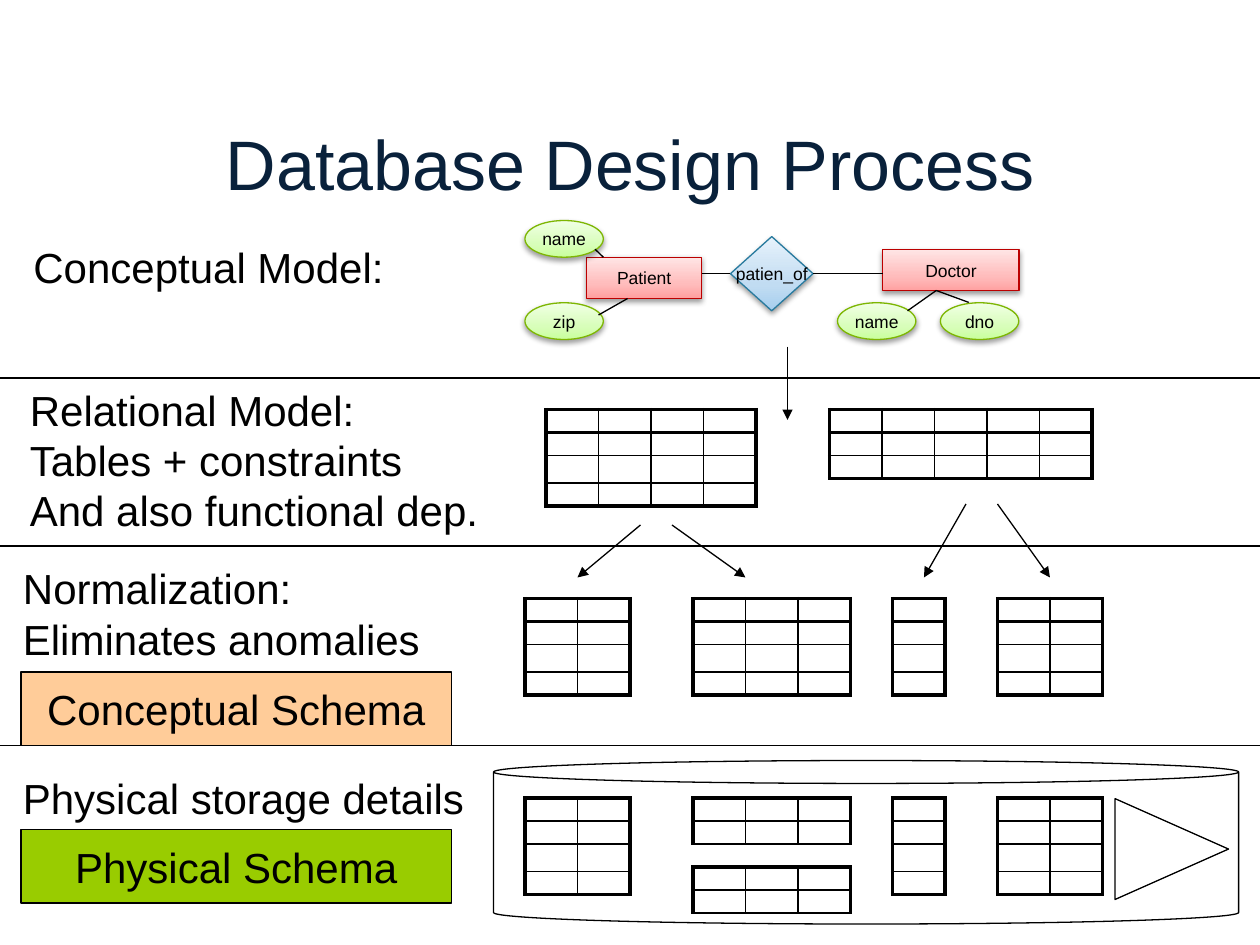
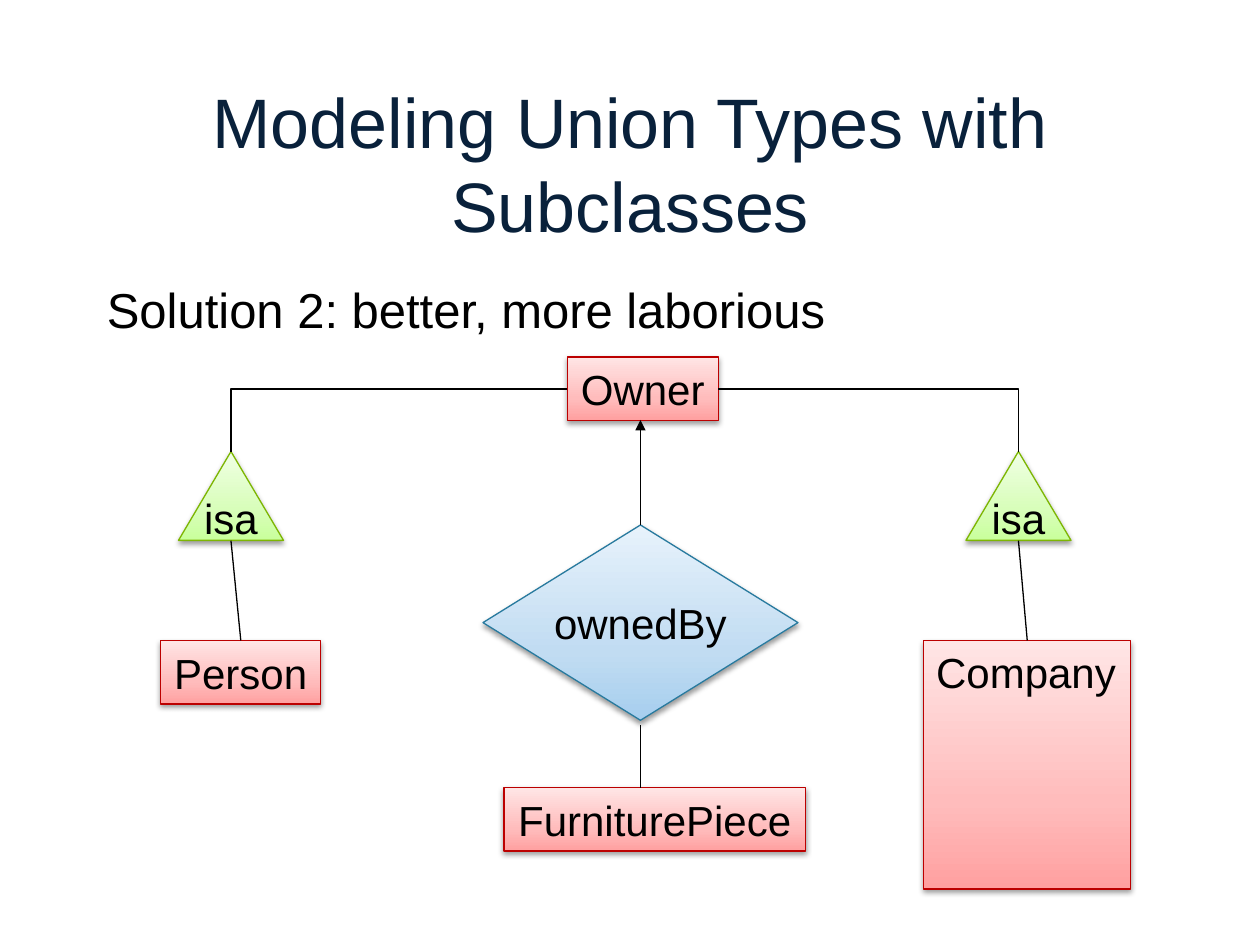
from dataclasses import dataclass

from lxml.etree import SubElement
from pptx import Presentation
from pptx.dml.color import RGBColor
from pptx.enum.shapes import MSO_CONNECTOR, MSO_SHAPE
from pptx.enum.text import MSO_ANCHOR, PP_ALIGN
from pptx.oxml.ns import qn
from pptx.shapes.autoshape import Shape
from pptx.shapes.connector import Connector
from pptx.slide import Slide
from pptx.text.text import TextFrame
from pptx.util import Pt

FONT = "Arial"
COLORS = {
    "title": "09213B",
    "black": "000000",
    "conceptual": "FFCC99",
    "physical": "99CC00",
    "red_line": "BC0000",
    "green_line": "7DB602",
    "blue_line": "287A9E",
}
# Gradient colours from bottom to top
GRADIENTS = {
    "red": ("FFA0A0", "FFBCBC", "FFE5E5"),
    "green": ("C9FF9C", "D8FEBA", "F0FFE4"),
    "blue": ("A6CEEE", "C1DCF2", "E7F2FB"),
}
GRADIENT_STOPS = (0, 35000, 100000)
COLUMN_WIDTH = 30
ROW_HEIGHTS = (13.2, 13.2, 15.6, 13.2)
THIN, MEDIUM, THICK = 1, 1.5, 2.25


@dataclass
class Node:
    """A part of an entity-relationship diagram."""
    text: str
    kind: MSO_SHAPE
    hue: str
    left: float
    top: float
    width: float
    height: float
    size: float


@dataclass
class Label:
    lines: str
    left: float
    top: float
    width: float
    height: float


@dataclass
class Grid:
    """An empty table."""
    left: float
    top: float
    columns: int
    rows: int = 4


@dataclass
class Line:
    x1: float
    y1: float
    x2: float
    y2: float
    arrow: bool = False


def rgb(name: str) -> RGBColor:
    return RGBColor.from_string(COLORS[name])


def write(frame: TextFrame, text: str, size: float, color: str = "black",
          align: PP_ALIGN = PP_ALIGN.LEFT, anchor: MSO_ANCHOR = MSO_ANCHOR.TOP,
          wrap: bool = False, space: float = 0) -> None:
    frame.text = text
    frame.word_wrap = wrap
    frame.vertical_anchor = anchor
    for paragraph in frame.paragraphs:
        paragraph.alignment = align
        paragraph.space_before = Pt(space)
        paragraph.font.name = FONT
        paragraph.font.size = Pt(size)
        paragraph.font.color.rgb = rgb(color)


def add_text(slide: Slide, label: Label, size: float = 24, **style) -> None:
    box = slide.shapes.add_textbox(
        Pt(label.left), Pt(label.top), Pt(label.width), Pt(label.height))
    write(box.text_frame, label.lines, size, **style)


def add_title(slide: Slide, text: str) -> None:
    add_text(slide, Label(text, 54, 48, 612, 90), 40, color="title",
             align=PP_ALIGN.CENTER, anchor=MSO_ANCHOR.MIDDLE, wrap=True)


def add_outline(slide: Slide, kind: MSO_SHAPE, left: float, top: float,
                width: float, height: float, line: str = "black") -> Shape:
    shape = slide.shapes.add_shape(kind, Pt(left), Pt(top), Pt(width), Pt(height))
    shape.shadow.inherit = False
    shape.fill.background()
    shape.line.color.rgb = rgb(line)
    shape.line.width = Pt(0.75)
    return shape


def add_gradient(shape: Shape, hue: str) -> None:
    shape.fill.gradient()
    shape.fill.gradient_angle = 90
    stops = shape._element.spPr.find(".//" + qn("a:gsLst"))
    stops.clear()
    for position, color in zip(GRADIENT_STOPS, GRADIENTS[hue]):
        stop = SubElement(stops, qn("a:gs"), pos=str(position))
        SubElement(stop, qn("a:srgbClr"), val=color)


def add_shadow(shape: Shape) -> None:
    effects = shape._element.spPr.find(qn("a:effectLst"))
    shadow = SubElement(effects, qn("a:outerShdw"), blurRad="40000",
                        dist="20000", dir="5400000", rotWithShape="0")
    color = SubElement(shadow, qn("a:srgbClr"), val=COLORS["black"])
    SubElement(color, qn("a:alpha"), val="38000")


def add_node(slide: Slide, node: Node) -> Shape:
    shape = add_outline(slide, node.kind, node.left, node.top, node.width,
                        node.height, node.hue + "_line")
    add_gradient(shape, node.hue)
    add_shadow(shape)
    write(shape.text_frame, node.text, node.size, align=PP_ALIGN.CENTER,
          anchor=MSO_ANCHOR.MIDDLE)
    return shape


def style_connector(connector: Connector) -> None:
    connector.line.color.rgb = rgb("black")
    connector.line.width = Pt(0.75)
    SubElement(connector._element.spPr, qn("a:effectLst"))


def add_line(slide: Slide, line: Line) -> None:
    connector = slide.shapes.add_connector(
        MSO_CONNECTOR.STRAIGHT, Pt(line.x1), Pt(line.y1), Pt(line.x2), Pt(line.y2))
    style_connector(connector)
    if line.arrow:
        SubElement(connector.line._get_or_add_ln(), qn("a:tailEnd"), type="triangle")


def add_elbow(slide: Slide, start: Shape, start_site: int, end: Shape) -> None:
    """Join a side of one shape to the top of another with one bend."""
    connector = slide.shapes.add_connector(MSO_CONNECTOR.ELBOW, 0, 0, 0, 0)
    connector.begin_connect(start, start_site)
    connector.end_connect(end, 0)
    connector._element.spPr.find(qn("a:prstGeom")).set("prst", "bentConnector2")
    style_connector(connector)


def add_grid(slide: Slide, grid: Grid) -> None:
    heights = ROW_HEIGHTS[:grid.rows] if grid.rows != 3 else ROW_HEIGHTS[:2] * 2
    heights = heights[:grid.rows]
    table = slide.shapes.add_table(
        grid.rows, grid.columns, Pt(grid.left), Pt(grid.top),
        Pt(COLUMN_WIDTH * grid.columns), Pt(sum(heights))).table
    for column in table.columns:
        column.width = Pt(COLUMN_WIDTH)
    for r, height in enumerate(heights):
        table.rows[r].height = Pt(height)
        for c in range(grid.columns):
            cell = table.cell(r, c)
            cell.margin_left = cell.margin_right = 0
            cell.margin_top = cell.margin_bottom = 0
            paragraph = cell.text_frame.paragraphs[0]
            SubElement(paragraph._p, qn("a:endParaRPr"), sz="600")
            # A split table keeps a thin lower edge
            closed = r == grid.rows - 1 and grid.rows > 2
            borders = {
                "a:lnL": THICK if c == 0 else THIN,
                "a:lnR": THICK if c == grid.columns - 1 else THIN,
                "a:lnT": {0: THICK, 1: MEDIUM}.get(r, THIN),
                "a:lnB": MEDIUM if r == 0 else THICK if closed else THIN,
            }
            properties = cell._tc.get_or_add_tcPr()
            for tag, width in borders.items():
                border = SubElement(properties, qn(tag), w=str(Pt(width)))
                fill = SubElement(border, qn("a:solidFill"))
                SubElement(fill, qn("a:srgbClr"), val=COLORS["black"])
            cell.fill.background()


def add_schema(slide: Slide, text: str, top: float, color: str) -> None:
    shape = add_outline(slide, MSO_SHAPE.RECTANGLE, 12, top, 246, 42)
    shape.fill.solid()
    shape.fill.fore_color.rgb = rgb(color)
    write(shape.text_frame, text, 24, align=PP_ALIGN.CENTER, anchor=MSO_ANCHOR.MIDDLE)


def entity(text: str, left: float, top: float, width: float, height: float,
           size: float = 24) -> Node:
    return Node(text, MSO_SHAPE.RECTANGLE, "red", left, top, width, height, size)


def attribute(text: str, left: float, top: float) -> Node:
    return Node(text, MSO_SHAPE.OVAL, "green", left, top, 44.8, 21, 10)


def subclass(left: float) -> Node:
    return Node("isa", MSO_SHAPE.ISOSCELES_TRIANGLE, "green", left, 258, 60, 50.8, 24)


def build_design_process(slide: Slide) -> None:
    # Storage cylinder behind the physical tables
    cylinder = add_outline(slide, MSO_SHAPE.CAN, 282, 434.6, 425.8, 93.4)
    cylinder.adjustments[0] = 0.14
    add_title(slide, "Database Design Process")

    # Conceptual model diagram
    for node in (
        entity("Doctor", 504.4, 142.6, 78, 23.6, 10),
        Node("patien_of", MSO_SHAPE.DIAMOND, "blue", 417.4, 135.2, 47.2, 42.4, 10),
        entity("Patient", 335.2, 147, 65.8, 23.6, 10),
        attribute("name", 300, 126),
        attribute("zip", 300, 173),
        attribute("name", 478.6, 173),
        attribute("dno", 537.4, 173),
    ):
        add_node(slide, node)
    for line in (
        Line(344.8, 147, 340, 142.4),
        Line(358.6, 170.6, 342, 180),
        Line(401, 156.4, 417.4, 156.4),
        Line(464.6, 156.4, 504.4, 156.4),
        Line(535, 166, 518.6, 177.6),
        Line(535, 166, 553.6, 172.8),
    ):
        add_line(slide, line)

    # Stage names
    for label in (
        Label("Conceptual Model:", 12, 134.6, 214.6, 36),
        Label("Relational Model:\nTables + constraints\nAnd also functional dep.",
              10, 216, 274.4, 94.4),
        Label("Normalization:\nEliminates anomalies", 6, 318, 243.4, 65.4),
        Label("Physical storage details", 6, 438, 269.4, 36),
    ):
        add_text(slide, label)

    # Relational, normalized and stored tables
    grids = [Grid(312, 234, 4), Grid(474, 234, 5, 3), Grid(396, 342, 3),
             Grid(396, 456, 3, 2), Grid(396, 495.4, 3, 2)]
    grids += [Grid(left, top, columns) for top in (342, 456)
              for left, columns in ((300, 2), (510, 1), (570, 2))]
    for grid in grids:
        add_grid(slide, grid)

    # Arrows between stages
    for line in (
        Line(450, 198, 450, 240, True),
        Line(366, 300, 330, 330, True),
        Line(384, 300, 426, 330, True),
        Line(552, 288, 528, 330, True),
        Line(570, 288, 600, 330, True),
    ):
        add_line(slide, line)

    # Schema boxes, stage dividers and index triangle
    add_schema(slide, "Conceptual Schema", 384, "conceptual")
    add_schema(slide, "Physical Schema", 474, "physical")
    for y in (216, 312, 426):
        add_line(slide, Line(0, y, 720, y))
    triangle = add_outline(slide, MSO_SHAPE.ISOSCELES_TRIANGLE, 640.8, 452.8, 57.6, 64.8)
    triangle.rotation = 90


def build_union_types(slide: Slide) -> None:
    add_title(slide, "Modeling Union Types with Subclasses")
    add_text(slide, Label("Solution 2: better, more laborious", 54, 156, 612, 324),
             28, wrap=True, space=5.6)

    # Entities, relationship and subclass triangles
    left_isa, right_isa = (add_node(slide, subclass(left)) for left in (102, 552))
    add_node(slide, entity("FurniturePiece", 288, 450, 172.2, 36.4))
    add_node(slide, entity("Person", 91.8, 366, 91.4, 36.4))
    company = add_node(slide, entity("Company", 527.8, 366, 118.4, 142))
    write(company.text_frame, "Company", 24, space=4.8)
    add_node(slide, Node("ownedBy", MSO_SHAPE.DIAMOND, "blue", 276, 300, 180, 111.6, 24))
    owner = add_node(slide, entity("Owner", 324.2, 204, 86.2, 36.4))

    # Links
    for line in (
        Line(366, 300, 366, 240, True),
        Line(366, 450, 366, 414),
        Line(137.6, 366, 132, 309),
        Line(587, 366, 582, 309),
    ):
        add_line(slide, line)
    add_elbow(slide, owner, 1, left_isa)
    add_elbow(slide, owner, 3, right_isa)


presentation = Presentation()
presentation.slide_width, presentation.slide_height = Pt(720), Pt(540)
for build in (build_design_process, build_union_types):
    build(presentation.slides.add_slide(presentation.slide_layouts[6]))
presentation.save("out.pptx")
